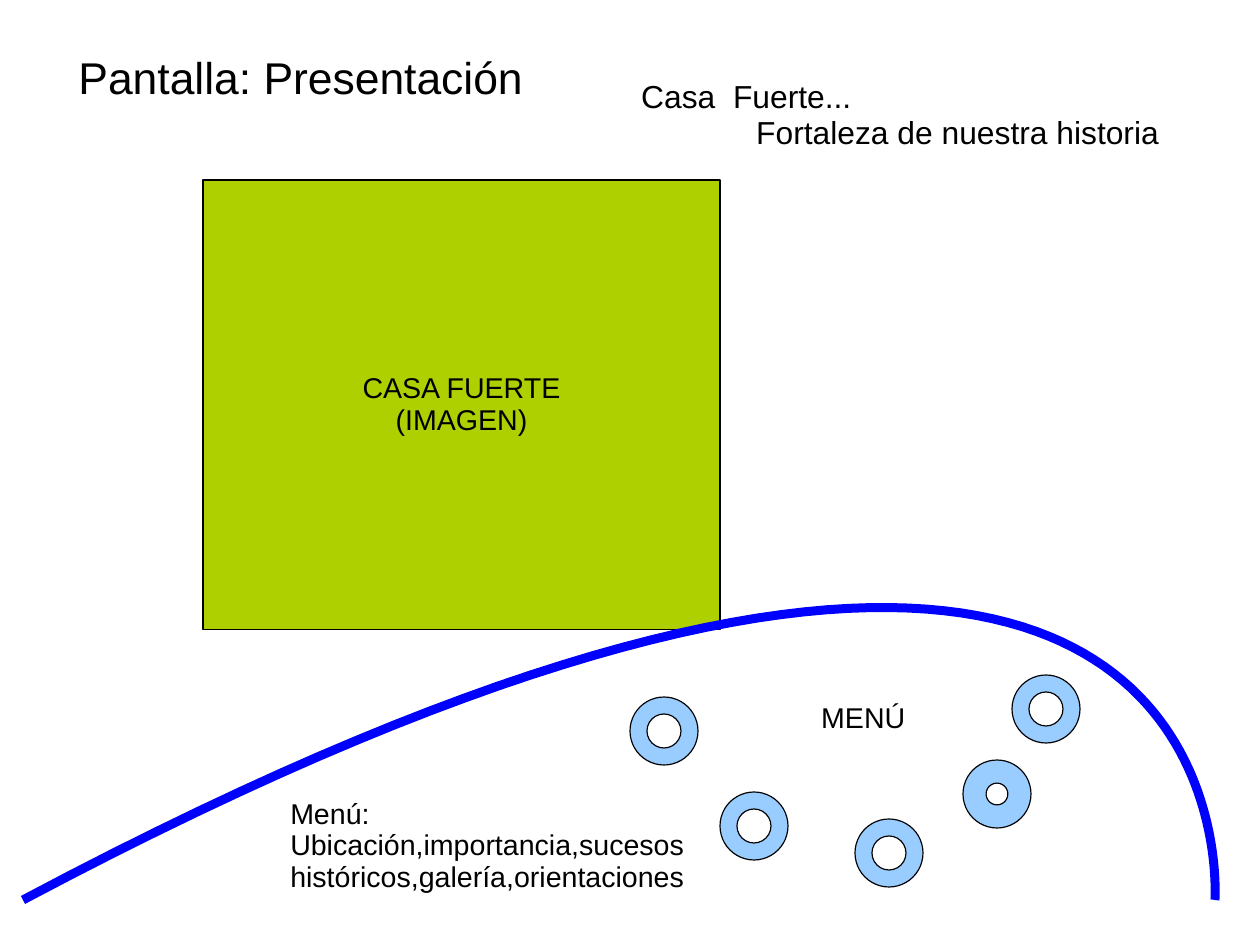
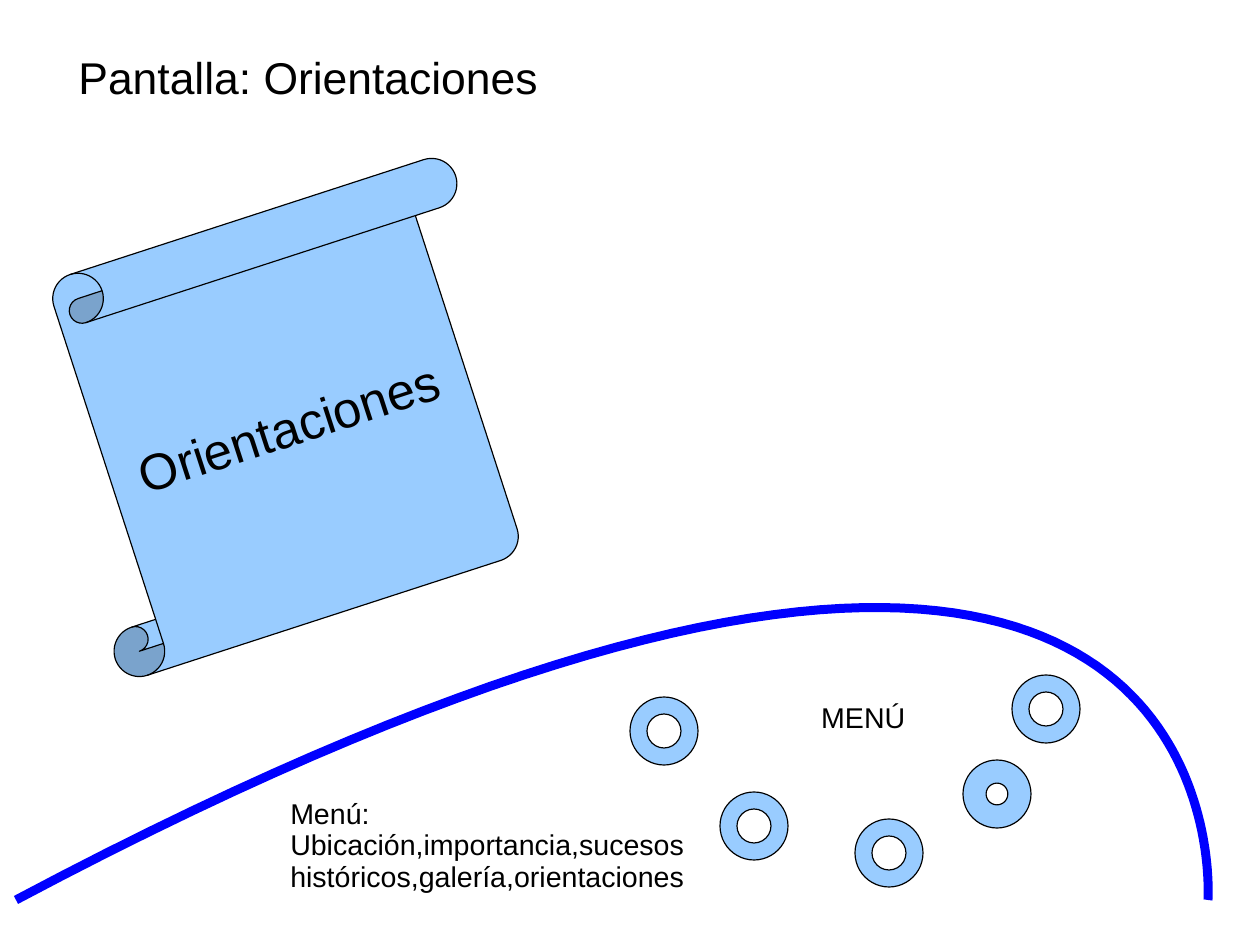
import pptx
import pptx.util
import pptx.dml.color
import pptx.enum.shapes
import pptx.enum.text

PX = 8000  # EMU per pixel
FONT, BLACK, WHITE = "Arial", "000000", "FFFFFF"
SKY, LIME, BLUE = "99CCFF", "AECF00", "0000FF"
SHAPE = pptx.enum.shapes.MSO_SHAPE
ALIGN = pptx.enum.text.PP_ALIGN
ANCHOR = pptx.enum.text.MSO_ANCHOR
rgb = pptx.dml.color.RGBColor.from_string


def paint(sp, fill, line, width):
    """Give a shape its fill (None for no fill) and outline, without shadow."""
    sp.shadow.inherit = False
    if fill:
        sp.fill.solid()
        sp.fill.fore_color.rgb = rgb(fill)
    else:
        sp.fill.background()
    sp.line.color.rgb = rgb(line)
    sp.line.width = pptx.util.Pt(width)


def write(sp, lines, size, align=ALIGN.LEFT, anchor=ANCHOR.TOP, wrap=True):
    """Write one paragraph for each line and return the text frame."""
    tf = sp.text_frame
    tf.auto_size = pptx.enum.text.MSO_AUTO_SIZE.NONE
    tf.word_wrap = wrap
    tf.vertical_anchor = anchor
    for i, line in enumerate(lines):
        p = tf.add_paragraph() if i else tf.paragraphs[0]
        p.alignment = align
        p.line_spacing = 0.93
        r = p.add_run()
        r.text = line
        r.font.name = FONT
        r.font.size = pptx.util.Pt(size)
        r.font.color.rgb = rgb(BLACK)
    return tf


prs = pptx.Presentation()
prs.slide_width, prs.slide_height = 1260 * PX, 945 * PX

# title, title width, panel shape, panel box, rotation, fill, panel text, size, curve start
screens = [
    ("Pantalla: Presentación", 1103, SHAPE.RECTANGLE, (203, 180, 517, 450), 0,
     LIME, ["CASA FUERTE", "(IMAGEN)"], 18, 23),
    ("Pantalla: Orientaciones", 562, SHAPE.VERTICAL_SCROLL, (49, 215, 473, 405), 342,
     SKY, ["Orientaciones"], 32, 16),
]
# left, top, ring thickness
buttons = [(630, 697, 0.25), (720, 792, 0.25), (855, 819, 0.25),
           (963, 760, 0.34), (1012, 675, 0.25)]
BUTTON = 68
labels = [
    ((810, 697, 135, 45), ["MENÚ"]),
    ((279, 793, 428, 107),
     ["Menú:", "Ubicación,importancia,sucesos históricos,galería,orientaciones"]),
]
STEPS = 80

for title, title_width, kind, box, rotation, fill, lines, size, start in screens:
    s = prs.slides.add_slide(prs.slide_layouts[5])
    s.background.fill.solid()
    s.background.fill.fore_color.rgb = rgb(WHITE)

    sp = s.shapes.title
    sp.left, sp.top, sp.width, sp.height = 67 * PX, 45 * PX, title_width * PX, 82 * PX
    tf = write(sp, [title], 28)
    tf.margin_top = 10 * PX

    sp = s.shapes.add_shape(kind, *(v * PX for v in box))
    sp.rotation = rotation
    paint(sp, fill, BLACK, 0.74)
    write(sp, lines, size, ALIGN.CENTER, ANCHOR.MIDDLE, False)

    # Cubic curve whose second control point lies on its end point
    curve = []
    for i in range(STEPS + 1):
        t = i / STEPS
        near = 3 * t * (1 - t) ** 2
        end = 3 * t ** 2 * (1 - t) + t ** 3
        curve.append(((start + 1239 * near + 1192 * end) * PX,
                      (900 - 658 * near) * PX))
    builder = s.shapes.build_freeform(*curve[0])
    builder.add_line_segments(curve[1:], close=False)
    paint(builder.convert_to_shape(), None, BLUE, 5.67)

    for left, top, ring in buttons:
        sp = s.shapes.add_shape(SHAPE.DONUT, left * PX, top * PX, BUTTON * PX, BUTTON * PX)
        sp.adjustments[0] = ring
        paint(sp, SKY, BLACK, 0.74)

    for box, lines in labels:
        write(s.shapes.add_textbox(*(v * PX for v in box)), lines, 18)

# Motto of the first screen, its second line indented
sp = prs.slides[0].shapes.add_textbox(630 * PX, 75 * PX, 585 * PX, 82 * PX)
tf = write(sp, ["Casa  Fuerte...", "Fortaleza de nuestra historia"], 20)
tf.paragraphs[1]._p.get_or_add_pPr().set("marL", str(115 * PX))

prs.save("out.pptx")
